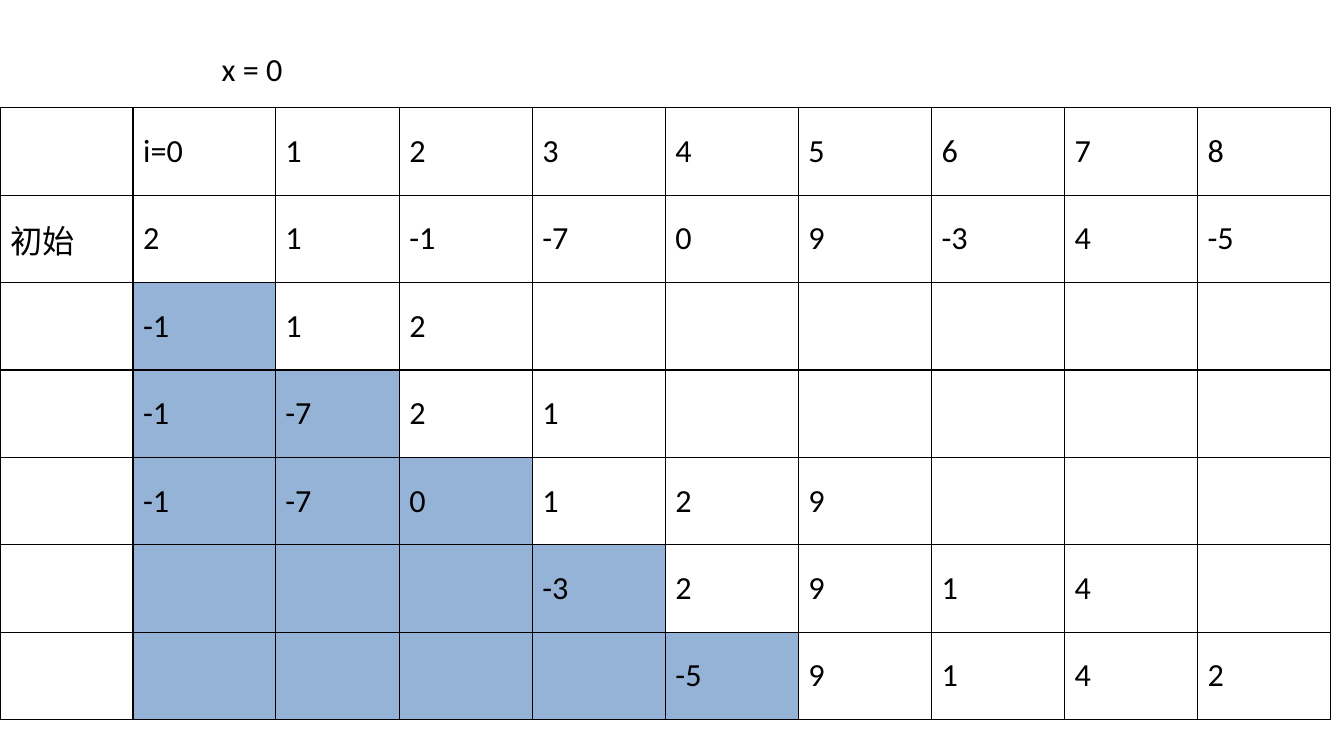
import pptx
import pptx.dml.color
import pptx.enum.text
import pptx.oxml
import pptx.oxml.ns
import pptx.util
from pptx.util import Inches

BLACK = pptx.dml.color.RGBColor(0x00, 0x00, 0x00)
BLUE = pptx.dml.color.RGBColor(0x95, 0xB3, 0xD7)
FONT = "Calibri"
SIZE = 23

STEPS = [
    ["", "i=0", "1", "2", "3", "4", "5", "6", "7", "8"],
    ["初始", "2", "1", "-1", "-7", "0", "9", "-3", "4", "-5"],
    ["", "-1", "1", "2", "", "", "", "", "", ""],
    ["", "-1", "-7", "2", "1", "", "", "", "", ""],
    ["", "-1", "-7", "0", "1", "2", "9", "", "", ""],
    ["", "", "", "", "-3", "2", "9", "1", "4", ""],
    ["", "", "", "", "", "-5", "9", "1", "4", "2"],
]
WIDTHS = [1.32, 1.41, 1.23] + [1.32] * 7
HEIGHT = 0.867


def style(frame):
    for para in frame.paragraphs:
        for run in para.runs:
            run.font.name = FONT
            run.font.size = pptx.util.Pt(SIZE)
            run.font.bold = False
            run.font.color.rgb = BLACK


def border(cell):
    """Draw a thin black line on all four sides of a cell."""
    props = cell._tc.get_or_add_tcPr()
    for side in ("lnL", "lnR", "lnT", "lnB"):
        props.append(pptx.oxml.parse_xml(
            f'<a:{side} {pptx.oxml.ns.nsdecls("a")} w="{pptx.util.Pt(1)}">'
            f'<a:solidFill><a:srgbClr val="{BLACK}"/></a:solidFill></a:{side}>'))


def fill_cell(cell, text, done):
    """Write one value; done marks the sorted part, which is shaded."""
    border(cell)
    if done:
        cell.fill.solid()
        cell.fill.fore_color.rgb = BLUE
    else:
        cell.fill.background()
    cell.vertical_anchor = pptx.enum.text.MSO_ANCHOR.MIDDLE
    cell.text_frame.text = text
    style(cell.text_frame)


def add_grid(slide):
    frame = slide.shapes.add_table(
        len(STEPS), len(WIDTHS), Inches(0), Inches(1.07),
        Inches(sum(WIDTHS)), Inches(HEIGHT * len(STEPS)))
    table = frame.table
    table.first_row = False
    table.horz_banding = False
    for col, width in zip(table.columns, WIDTHS):
        col.width = Inches(width)
    for r, step in enumerate(STEPS):
        table.rows[r].height = Inches(HEIGHT)
        for c, text in enumerate(step):
            fill_cell(table.cell(r, c), text, 1 <= c < r)


def add_label(slide, text):
    box = slide.shapes.add_textbox(
        Inches(2.1), Inches(0.44), Inches(0.81), Inches(0.49))
    frame = box.text_frame
    frame.word_wrap = False
    frame.auto_size = pptx.enum.text.MSO_AUTO_SIZE.SHAPE_TO_FIT_TEXT
    frame.text = text
    style(frame)


def main():
    deck = pptx.Presentation()
    deck.slide_width = Inches(13.33)
    deck.slide_height = Inches(7.5)
    slide = deck.slides.add_slide(deck.slide_layouts[6])
    add_grid(slide)
    add_label(slide, "x = 0")
    deck.save("out.pptx")


if __name__ == "__main__":
    main()
